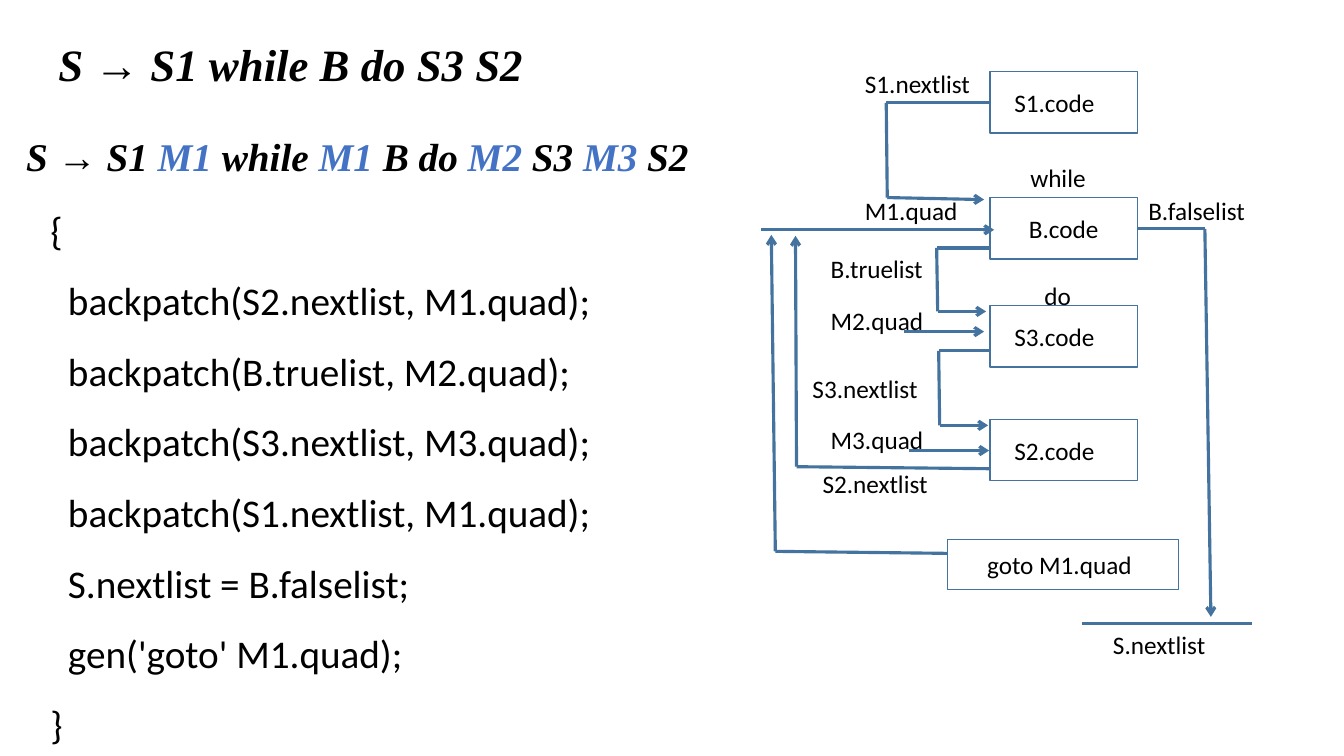
from lxml import etree
from pptx import Presentation
from pptx.dml.color import RGBColor
from pptx.enum.shapes import MSO_CONNECTOR as Line, MSO_SHAPE as Shape
from pptx.enum.text import MSO_ANCHOR as Anchor, PP_ALIGN as Align
from pptx.oxml.ns import qn
from pptx.util import Inches, Pt

HEX = {"ink": "000000", "mark": "4472C4", "line": "43739E"}
SERIF = "Times New Roman"

# Flow diagram, in inches from its top left corner
NODES = [  # text, left, top, width, height, text indent (None centres it)
    ("S1.code", 2.32, 0.21, 1.46, 0.61, 0.24),
    ("B.code", 2.32, 1.46, 1.46, 0.61, None),
    ("S3.code", 2.32, 2.53, 1.46, 0.61, 0.24),
    ("S2.code", 2.32, 3.66, 1.46, 0.61, 0.24),
    ("goto M1.quad", 1.9, 4.85, 2.29, 0.5, 0.39),
]
LABELS = [  # text, left, top
    ("S1.nextlist", 0.98, 0.13),
    ("while", 2.62, 1.06),
    ("M1.quad", 0.98, 1.39),
    ("B.falselist", 3.79, 1.39),
    ("B.truelist", 0.64, 1.96),
    ("do", 2.76, 2.23),
    ("M2.quad", 0.64, 2.48),
    ("S3.nextlist", 0.46, 3.15),
    ("M3.quad", 0.64, 3.66),
    ("S2.nextlist", 0.56, 4.1),
    ("S.nextlist", 3.44, 5.69),
]
ARROWS = [
    [(2.32, 0.52), (1.29, 0.52), (1.3, 1.46), (2.26, 1.48)],
    [(0.05, 1.78), (2.36, 1.78)],
    [(2.31, 1.96), (1.79, 1.96), (1.8, 2.59), (2.28, 2.59)],
    [(1.47, 2.79), (2.26, 2.79)],
    [(2.32, 2.98), (1.81, 2.98), (1.82, 3.72), (2.3, 3.72)],
    [(1.52, 3.97), (2.31, 3.97)],
    [(2.32, 4.15), (0.4, 4.13), (0.39, 1.84)],
    [(1.9, 4.99), (0.19, 4.97), (0.15, 1.83)],
    [(3.78, 1.77), (4.45, 1.77), (4.51, 5.62)],
]
EXIT = [(3.23, 5.69), (4.92, 5.69)]

RULE = [
    ("S → S1 ", "ink"), ("M1", "mark"), (" while ", "ink"), ("M1", "mark"),
    (" B do ", "ink"), ("M2", "mark"), (" S3 ", "ink"), ("M3", "mark"), (" S2", "ink"),
]
CODE = [
    "{",
    "  backpatch(S2.nextlist, M1.quad);",
    "  backpatch(B.truelist, M2.quad);",
    "  backpatch(S3.nextlist, M3.quad);",
    "  backpatch(S1.nextlist, M1.quad);",
    "  S.nextlist = B.falselist;",
    "  gen('goto' M1.quad);",
    "}",
]


def color(name):
    return RGBColor.from_string(HEX[name])


def write(frame, lines, size=18, face="Calibri", bold=False, align=Align.LEFT, space=None):
    """Fill a frame with lines, each a list of (text, colour name) runs."""
    frame.word_wrap = True
    for i, runs in enumerate(lines):
        para = frame.add_paragraph() if i else frame.paragraphs[0]
        para.alignment = align
        para.line_spacing = space
        for text, tint in runs:
            run = para.add_run()
            run.text = text
            font = run.font
            font.size, font.name = Pt(size), face
            font.bold = font.italic = bold
            font.color.rgb = color(tint)


def add_text(slide, box, lines, **style):
    write(slide.shapes.add_textbox(*map(Inches, box)).text_frame, lines, **style)


def add_node(slide, box, text, indent):
    node = slide.shapes.add_shape(Shape.RECTANGLE, *map(Inches, box))
    node.shadow.inherit = False
    node.fill.background()
    node.line.color.rgb = color("line")
    node.line.width = Pt(1)
    frame = node.text_frame
    frame.vertical_anchor = Anchor.MIDDLE
    if indent:
        frame.margin_left = Inches(indent)
    write(frame, [[(text, "ink")]], align=Align.LEFT if indent else Align.CENTER)


def add_route(slide, left, top, points, arrow=True):
    """Join the points with straight lines; the last may end in an arrow."""
    spots = [(Inches(left + x), Inches(top + y)) for x, y in points]
    for start, end in zip(spots, spots[1:]):
        link = slide.shapes.add_connector(Line.STRAIGHT, *start, *end)
        link.line.color.rgb = color("line")
        link.line.width = Pt(2.25)
        props = link._element.spPr
        etree.SubElement(props, qn("a:effectLst"))
    if arrow:
        etree.SubElement(props.find(qn("a:ln")), qn("a:tailEnd"), type="arrow")


def add_flow(slide, left, top):
    for text, x, y, wide, high, indent in NODES:
        add_node(slide, (left + x, top + y, wide, high), text, indent)
    for points in ARROWS:
        add_route(slide, left, top, points)
    add_route(slide, left, top, EXIT, arrow=False)
    for text, x, y in LABELS:
        add_text(slide, (left + x, top + y, 1.48, 0.4), [[(text, "ink")]])


def add_rules(slide, left, top):
    """Place the grammar rule, its marked form and the actions."""
    add_text(slide, (left + 0.32, top, 6.17, 0.94),
             [[("S → S1 while B do S3 S2", "ink")]], size=32, face=SERIF, bold=True)
    add_text(slide, (left, top + 0.94, 7.39, 0.57), [RULE], size=28, face=SERIF, bold=True)
    add_text(slide, (left + 0.24, top + 1.44, 7.65, 5.75),
             [[(line, "ink")] for line in CODE], size=28, space=1.5)


def main():
    deck = Presentation()
    deck.slide_width, deck.slide_height = Inches(13.33), Inches(7.5)
    slide = deck.slides.add_slide(deck.slide_layouts[6])
    add_flow(slide, 7.5, 0.5)
    add_rules(slide, 0.16, 0.32)
    deck.save("out.pptx")


if __name__ == "__main__":
    main()
